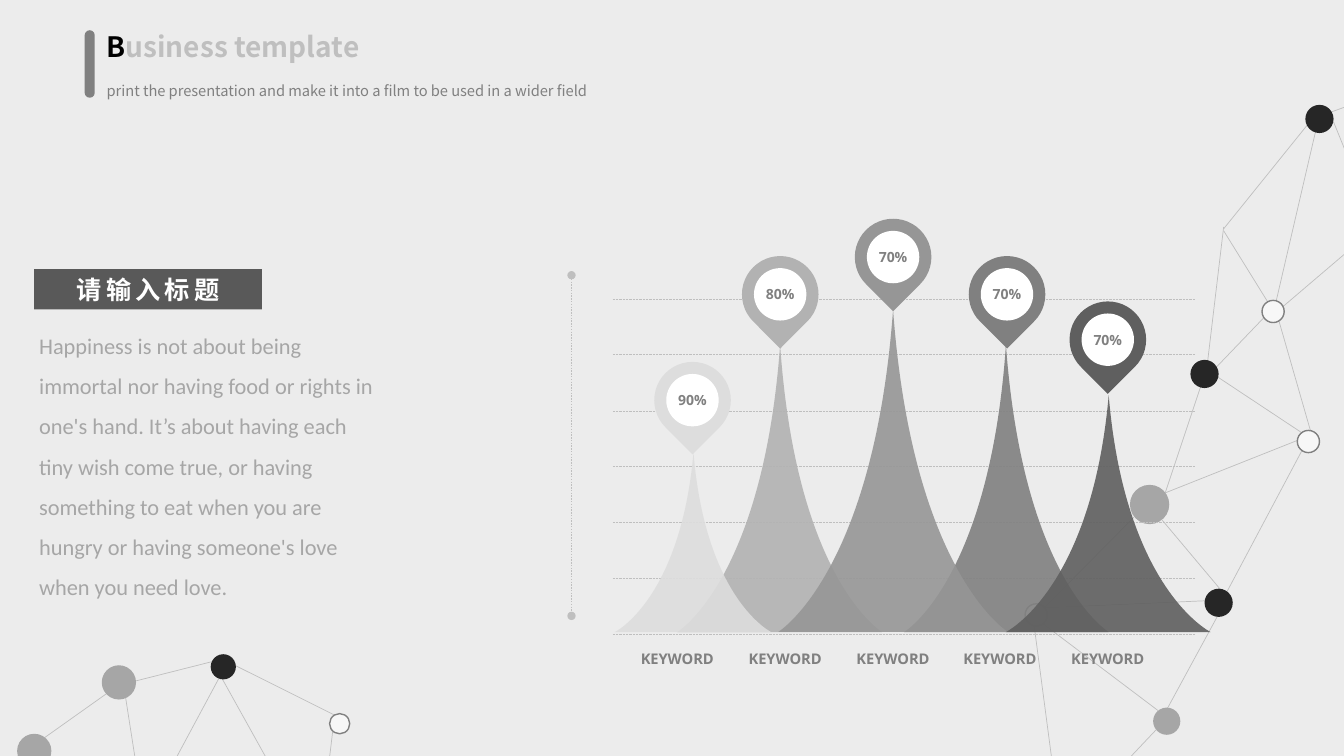
"""Build a business slide with a keyword peak chart and network decoration."""
from lxml import etree
from pptx import Presentation
from pptx.dml.color import RGBColor
from pptx.enum.dml import MSO_LINE
from pptx.enum.shapes import MSO_CONNECTOR, MSO_SHAPE
from pptx.enum.text import MSO_ANCHOR, MSO_AUTO_SIZE, PP_ALIGN
from pptx.oxml.ns import qn
from pptx.util import Pt

PX = 9144
STRAIGHT = MSO_CONNECTOR.STRAIGHT
DOTTED = MSO_LINE.ROUND_DOT
OVAL, RECT, ROUNDED, TEARDROP = (
    MSO_SHAPE.OVAL, MSO_SHAPE.RECTANGLE, MSO_SHAPE.ROUNDED_RECTANGLE, MSO_SHAPE.TEAR)
TOP, MIDDLE = MSO_ANCHOR.TOP, MSO_ANCHOR.MIDDLE
LEFT, CENTER = PP_ALIGN.LEFT, PP_ALIGN.CENTER
FIT_SHAPE, NO_FIT = MSO_AUTO_SIZE.SHAPE_TO_FIT_TEXT, MSO_AUTO_SIZE.NONE
COLORS = {name: RGBColor.from_string(code) for name, code in {
    "background": "ECECEC", "line": "BFBFBF", "black": "000000", "white": "FFFFFF",
    "dark": "262626", "banner": "595959", "grey": "808080", "soft": "A6A6A6",
    "hollow": "F7F7F7", "peak1": "DDDDDD", "peak2": "B2B2B2", "peak3": "969696",
    "peak4": "808080", "peak5": "5F5F5F"}.items()}

prs = Presentation()
prs.slide_width, prs.slide_height = 4000 * PX // 3, 750 * PX
slide = prs.slides.add_slide(prs.slide_layouts[6])
slide.background.fill.solid()
slide.background.fill.fore_color.rgb = COLORS["background"]
shapes = slide.shapes


def add_line(x1, y1, x2, y2, width=0.5, dash=None, ends=None):
    connector = shapes.add_connector(STRAIGHT, x1 * PX, y1 * PX, x2 * PX, y2 * PX)
    connector.line.color.rgb = COLORS["line"]
    connector.line.width = Pt(width)
    if dash:
        connector.line.dash_style = dash
    properties = connector._element.spPr
    if ends:
        for tag in ("a:headEnd", "a:tailEnd"):
            etree.SubElement(properties.find(qn("a:ln")), qn(tag), type=ends)
    etree.SubElement(properties, qn("a:effectLst"))


def add_filled(kind, left, top, width, height, color):
    shape = shapes.add_shape(kind, left * PX, top * PX, width * PX, height * PX)
    shape.shadow.inherit = False
    shape.fill.solid()
    shape.fill.fore_color.rgb = COLORS[color]
    shape.line.fill.background()
    return shape


network_links = [
    (1396, 84, 1321, 111), (1214, 225, 1196, 376), (1358, 207, 1323, 121),
    (1266, 299, 1305, 131), (1297, 124, 1214, 227), (1361, 229, 1273, 304),
    (1214, 229, 1258, 300), (1207, 364, 1254, 315), (1208, 611, 1151, 716),
    (1196, 596, 1036, 603), (1153, 516, 1216, 591), (1125, 513, 1036, 603),
    (1191, 384, 1156, 489), (1149, 705, 1035, 619), (1156, 489, 1287, 437),
    (1213, 595, 1298, 435), (1047, 780, 1026, 621), (1078, 797, 1147, 724),
    (1269, 319, 1300, 427), (1291, 429, 1208, 374),
    (125, 678, 212, 656), (337, 712, 233, 660), (312, 838, 213, 660),
    (222, 664, 150, 798), (330, 726, 316, 843), (142, 803, 124, 688),
    (44, 732, 120, 678)]
for link in network_links:
    add_line(*link)

network_nodes = [
    (1295, 104, 28, "dark"), (1252, 298, 22, "hollow"), (1181, 357, 28, "dark"),
    (1121, 481, 39, "soft"), (1017, 599, 22, "hollow"), (1287, 427, 22, "hollow"),
    (1144, 702, 27, "soft"), (1195, 584, 28, "dark"), (209, 649, 25, "dark"),
    (327, 708, 20, "hollow"), (17, 728, 34, "soft"), (101, 660, 34, "soft")]
for left, top, size, color in network_nodes:
    node = add_filled(OVAL, left, top, size, size, color)
    if color == "hollow":
        node.line.color.rgb = COLORS["grey"]
        node.line.width = Pt(1)

for row in range(7):
    grid_y = round(297 + row * 332 / 6)
    add_line(608, grid_y, 1185, grid_y, dash=DOTTED)
add_line(567, 273, 567, 611, width=1, dash=DOTTED, ends="oval")

BASELINE = 627
peaks = [
    (672, 203, 342, "peak2"), (897, 203, 342, "peak4"), (610, 155, 449, "peak1"),
    (772, 228, 307, "peak3"), (998, 203, 392, "peak5")]
for left, width, tip, color in peaks:
    height = BASELINE - tip
    builder = shapes.build_freeform(left + width, BASELINE, scale=PX)
    builder.add_line_segments([(left + width / 2, tip), (left, BASELINE)], close=True)
    peak = builder.convert_to_shape()
    peak.shadow.inherit = False
    peak.fill.solid()
    peak.fill.fore_color.rgb = COLORS[color]
    peak.line.fill.background()
    rgb = peak._element.spPr.find(qn("a:solidFill")).find(qn("a:srgbClr"))
    etree.SubElement(rgb, qn("a:alpha"), val="90000")
    outline = next(peak._element.iter(qn("a:path")))
    reach_x, reach_y = int(outline.get("w")), int(outline.get("h"))
    handles = [[(1, 1), (7 / 12, 0.82)], [(5 / 12, 0.82), (0, 1)]]
    for side, controls in zip(outline.findall(qn("a:lnTo")), handles):
        side.tag = qn("a:cubicBezTo")
        for position, (x, y) in enumerate(controls):
            side.insert(position, etree.Element(
                qn("a:pt"), x=str(round(x * reach_x)), y=str(round(y * reach_y))))

labels = []
pins = [
    (649, 359, "90%", "peak1"), (736, 254, "80%", "peak2"), (848, 217, "70%", "peak3"),
    (961, 254, "70%", "peak4"), (1061, 299, "70%", "peak5")]
for column, (left, top, percent, color) in enumerate(pins):
    add_filled(TEARDROP, left, top, 76, 76, color).rotation = 135
    badge = add_filled(OVAL, left + 12, top + 12, 52, 52, "white")
    keyword = shapes.add_textbox(
        round(624 + column * 106.75) * PX, 645 * PX, 96 * PX, 22 * PX)
    labels += [
        (badge, percent, 10, "Open Sans", "grey", True, CENTER, 1),
        (keyword, "KEYWORD", 10.5, "Open Sans", "grey", True, CENTER, 1)]
    for label in (badge, keyword):
        frame = label.text_frame
        frame.margin_left = frame.margin_right = frame.margin_top = frame.margin_bottom = 0

accent = add_filled(ROUNDED, 84, 30, 10, 67, "grey")
accent.adjustments[0] = 0.5
banner = add_filled(RECT, 34, 267, 226, 40, "banner")
title, subtitle, story = [
    shapes.add_textbox(left * PX, top * PX, width * PX, height * PX)
    for left, top, width, height in [
        (96, 24, 360, 44), (96, 73, 534, 30), (29, 311, 362, 289)]]
labels += [
    (title, "B", 20, "Noto Sans CJK SC", "line", True, LEFT, 1),
    (subtitle, "print the presentation and make it into a film to be used in a wider field",
     10.5, "Noto Sans CJK SC", "grey", False, LEFT, 1.2),
    (banner, "请输入标题", 18, "Arial", "white", True, CENTER, 1),
    (story, "Happiness is not about being immortal nor having food or rights in one's hand. "
     "It’s about having each tiny wish come true, or having something to eat when you are "
     "hungry or having someone's love when you need love.",
     16, "Calibri", "soft", False, LEFT, 1.5)]

for holder, text, size, font, color, bold, align, spacing in labels:
    frame = holder.text_frame
    frame.text = text
    frame.word_wrap = text != "KEYWORD"
    frame.vertical_anchor = MIDDLE if "%" in text else TOP
    frame.auto_size = NO_FIT if "%" in text else FIT_SHAPE
    paragraph = frame.paragraphs[0]
    paragraph.alignment = align
    paragraph.line_spacing = spacing
    if holder is title:
        paragraph.add_run().text = "usiness template"
    for run in paragraph.runs:
        run.font.size = Pt(size)
        run.font.name = font
        run.font.bold = bold
        run.font.color.rgb = COLORS[color]

title.text_frame.paragraphs[0].runs[0].font.color.rgb = COLORS["black"]
banner.text_frame.paragraphs[0].runs[0]._r.get_or_add_rPr().set("spc", "300")

prs.save("out.pptx")
